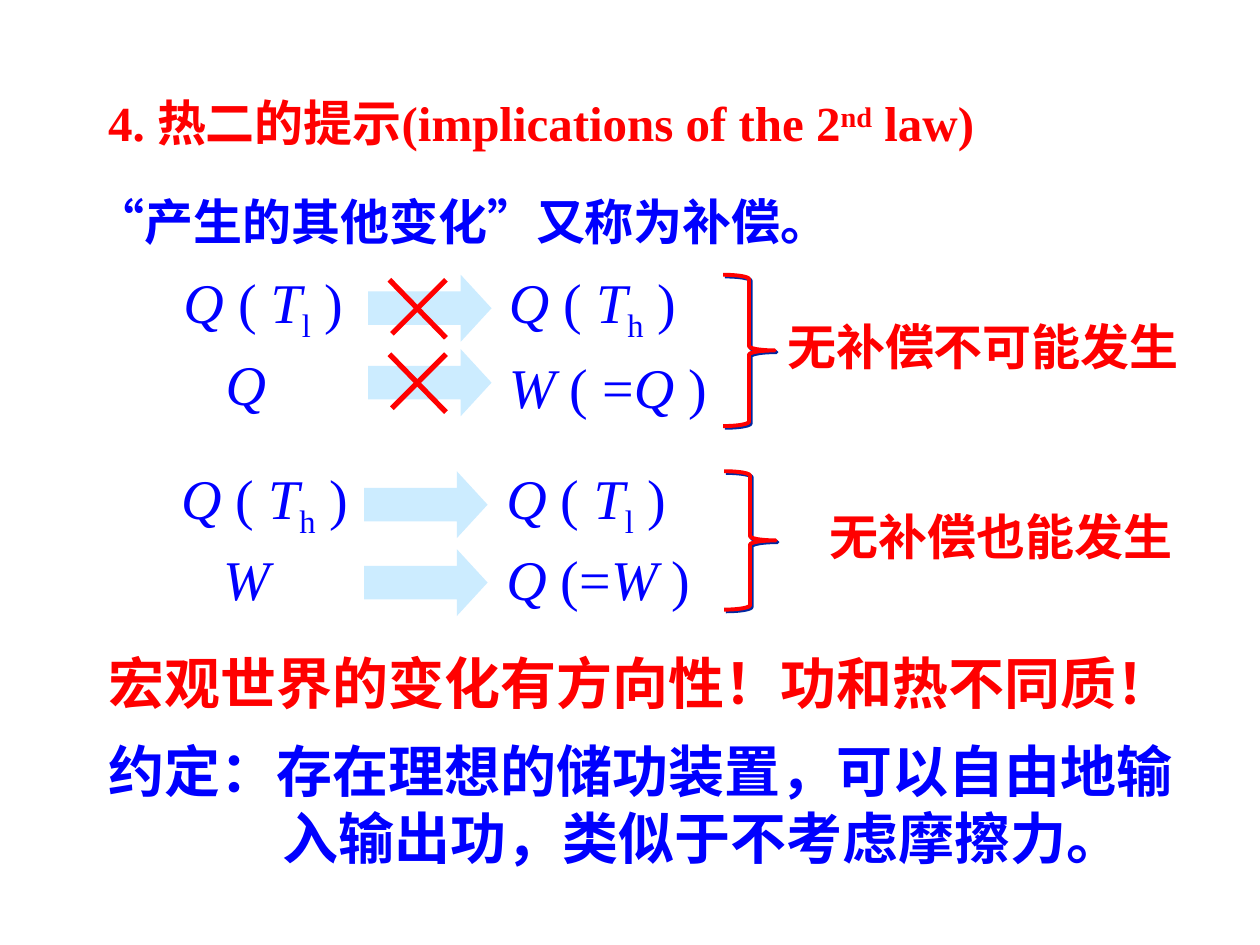
from dataclasses import dataclass

from lxml.etree import SubElement
from pptx import Presentation
from pptx.dml.color import RGBColor
from pptx.enum.shapes import MSO_CONNECTOR, MSO_SHAPE
from pptx.oxml.ns import qn
from pptx.util import Cm, Pt


@dataclass(frozen=True)
class Theme:
    red: RGBColor = RGBColor(0xFF, 0x00, 0x00)
    blue: RGBColor = RGBColor(0x00, 0x00, 0xFF)
    pale: RGBColor = RGBColor(0xCC, 0xEC, 0xFF)
    shadow: str = "0029A3"
    latin: str = "Times New Roman"
    chinese: str = "Noto Sans CJK SC"
    body: int = 28
    large: int = 32


SUBSCRIPT, SUPERSCRIPT = -25, 30
ARROW_WIDTH, ARROW_HEIGHT = 2.49, 1.35


class Board:
    def __init__(self, page, theme):
        self.page = page
        self.theme = theme

    def box(self, left, top, width, height):
        frame = self.page.shapes.add_textbox(
            Cm(left), Cm(top), Cm(width), Cm(height)).text_frame
        frame.word_wrap = True
        return frame

    def add_spans(self, para, spans, color, size, bold=False, font=None):
        """Each span is (text, italic, baseline percent)."""
        para.font.size = Pt(size)
        para.font.bold = bold
        para.font.color.rgb = color
        para.font.name = font or self.theme.latin
        defaults = para._p.get_or_add_pPr().get_or_add_defRPr()
        SubElement(defaults, qn("a:ea"), typeface=self.theme.chinese)
        for text, italic, baseline in spans:
            span = para.add_run()
            span.text = text
            if italic:
                span.font.italic = True
            if baseline:
                span._r.get_or_add_rPr().set("baseline", str(baseline * 1000))

    def statement(self, spans, color, left, top, width, height=1.45):
        frame = self.box(left, top, width, height)
        self.add_spans(frame.paragraphs[0], spans, color, self.theme.body, bold=True)
        return frame

    def formula(self, spans, left, top):
        frame = self.box(left, top, 5, 1.6)
        self.add_spans(frame.paragraphs[0], spans, self.theme.blue, self.theme.large)

    def arrow(self, left, top):
        arrow = self.page.shapes.add_shape(
            MSO_SHAPE.RIGHT_ARROW, Cm(left), Cm(top), Cm(ARROW_WIDTH), Cm(ARROW_HEIGHT))
        arrow.adjustments[1] = 0.46
        arrow.shadow.inherit = False
        arrow.fill.solid()
        arrow.fill.fore_color.rgb = self.theme.pale
        arrow.line.fill.background()

    def cross(self, left, top):
        for x1, y1, x2, y2 in ((0, 0, 1.14, 1.17), (0.05, 1.09, 1.14, 0)):
            stroke = self.page.shapes.add_connector(
                MSO_CONNECTOR.STRAIGHT,
                Cm(left + x1), Cm(top + y1), Cm(left + x2), Cm(top + y2))
            stroke.line.color.rgb = self.theme.red
            stroke.line.width = Pt(3)
            SubElement(stroke._element.spPr, qn("a:effectLst"))

    def brace(self, left, top, height):
        brace = self.page.shapes.add_shape(
            MSO_SHAPE.RIGHT_BRACE, Cm(left), Cm(top), Cm(1.04), Cm(height))
        brace.fill.background()
        brace.line.color.rgb = self.theme.red
        brace.line.width = Pt(2.25)
        brace.shadow.inherit = False
        effects = brace._element.spPr.find(qn("a:effectLst"))
        shadow = SubElement(effects, qn("a:outerShdw"), blurRad="0",
                            dist=str(Pt(1.4)), dir="2700000", algn="ctr", rotWithShape="0")
        SubElement(shadow, qn("a:srgbClr"), val=self.theme.shadow)


def plain(text):
    return [(text, False, 0)]


def symbol(letter):
    return [(letter, True, 0)]


def heat_at(level):
    return [("Q ", True, 0), ("( ", False, 0), ("T", True, 0),
            (level, False, SUBSCRIPT), (" )", False, 0)]


def equals(left, opening, right):
    return [(left + " ", True, 0), (opening, False, 0), (right, True, 0), (" )", False, 0)]


def main():
    deck = Presentation()
    deck.slide_width, deck.slide_height = Cm(25.4), Cm(19.05)
    page = deck.slides.add_slide(deck.slide_layouts[6])
    theme = Theme()
    board = Board(page, theme)

    # Heading and definition
    heading = [("4. 热二的提示(implications of the 2", False, 0),
               ("nd", False, SUPERSCRIPT), (" law)", False, 0)]
    board.statement(heading, theme.red, 1.93, 1.75, 21.39)
    definition = board.statement(
        plain("“产生的其他变化”又称为补偿。"), theme.blue, 1.93, 3.51, 22.56, 1.55)
    definition.margin_left = definition.margin_right = 0
    definition.margin_top = definition.margin_bottom = 0
    definition.paragraphs[0].line_spacing = 1.3

    # Processes: source, result, column lefts, text tops, arrow top, possible
    processes = [
        (heat_at("l"), heat_at("h"), (3.45, 7.42, 10.01), (5.26, 5.26), 5.54, False),
        (symbol("Q"), equals("W", "( =", "Q"), (4.3, 7.42, 10.01), (6.93, 6.99), 7.04, False),
        (heat_at("h"), heat_at("l"), (3.4, 7.34, 9.96), (9.22, 9.22), 9.5, True),
        (symbol("W"), equals("Q", "(=", "W"), (4.25, 7.34, 9.96), (10.85, 10.85), 11.07, True),
    ]
    for source, result, lefts, tops, arrow_top, possible in processes:
        board.formula(source, lefts[0], tops[0])
        board.formula(result, lefts[2], tops[1])
        board.arrow(lefts[1], arrow_top)
        if not possible:
            board.cross(lefts[1] + 0.43, arrow_top + 0.1)

    # Braces and their verdicts
    board.brace(14.58, 5.54, 3.05)
    board.statement(plain("无补偿不可能发生"), theme.red, 15.62, 6.25, 8.8)
    board.brace(14.6, 9.5, 2.79)
    board.statement(plain("无补偿也能发生"), theme.red, 16.48, 10.08, 7.8)

    # Conclusion and convention
    frame = board.box(1.93, 12.95, 22.61, 4.78)
    board.add_spans(frame.paragraphs[0], plain("宏观世界的变化有方向性！功和热不同质！"),
                    theme.red, theme.large, True, theme.chinese)
    para = frame.add_paragraph()
    para.space_before = Pt(12)
    indent = para._p.get_or_add_pPr()
    indent.set("marL", str(Cm(3.51)))
    indent.set("indent", str(-Cm(3.51)))
    board.add_spans(
        para, plain("约定：存在理想的储功装置，可以自由地输入输出功，类似于不考虑摩擦力。"),
        theme.blue, theme.large, True, theme.chinese)

    deck.save("out.pptx")


if __name__ == "__main__":
    main()
